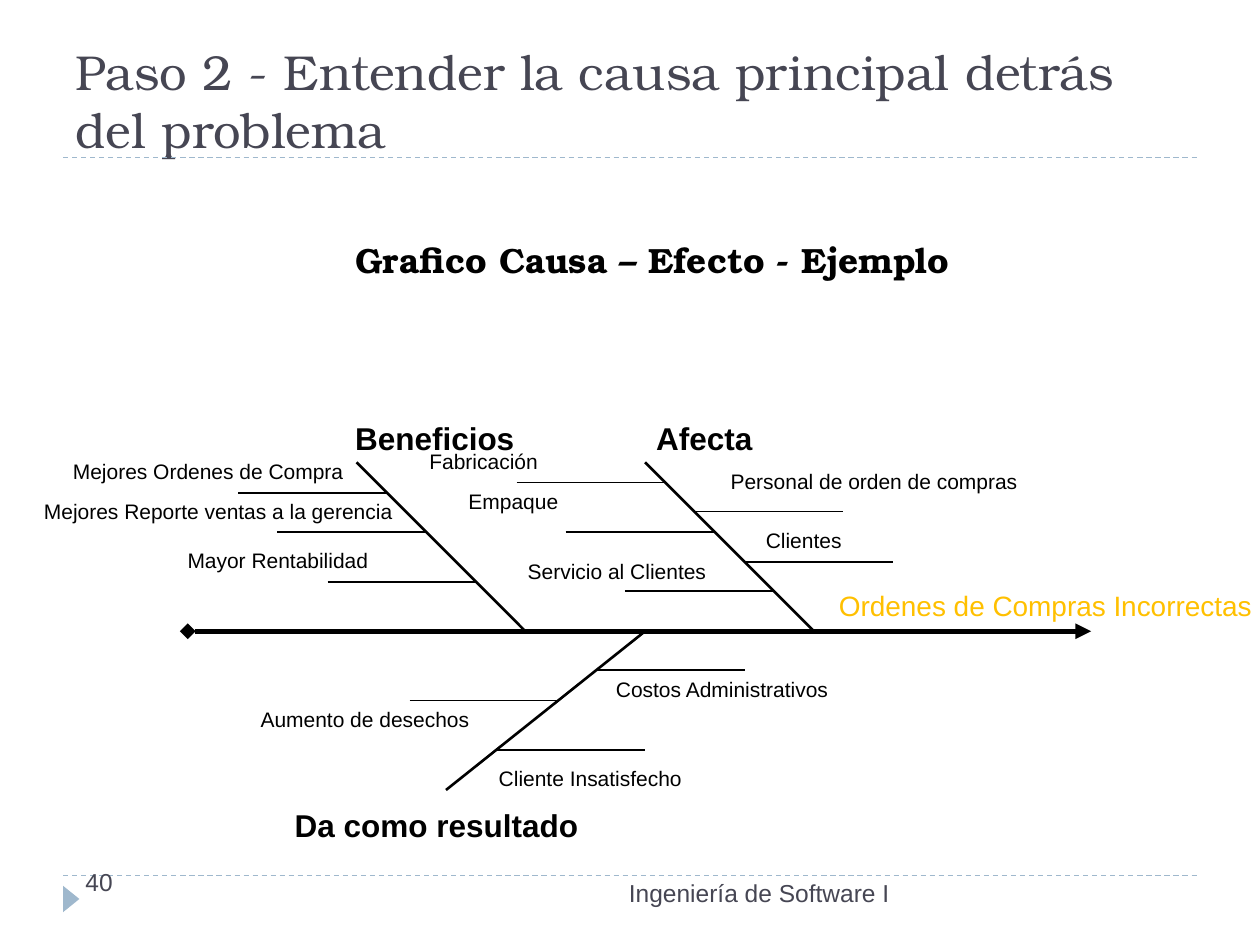
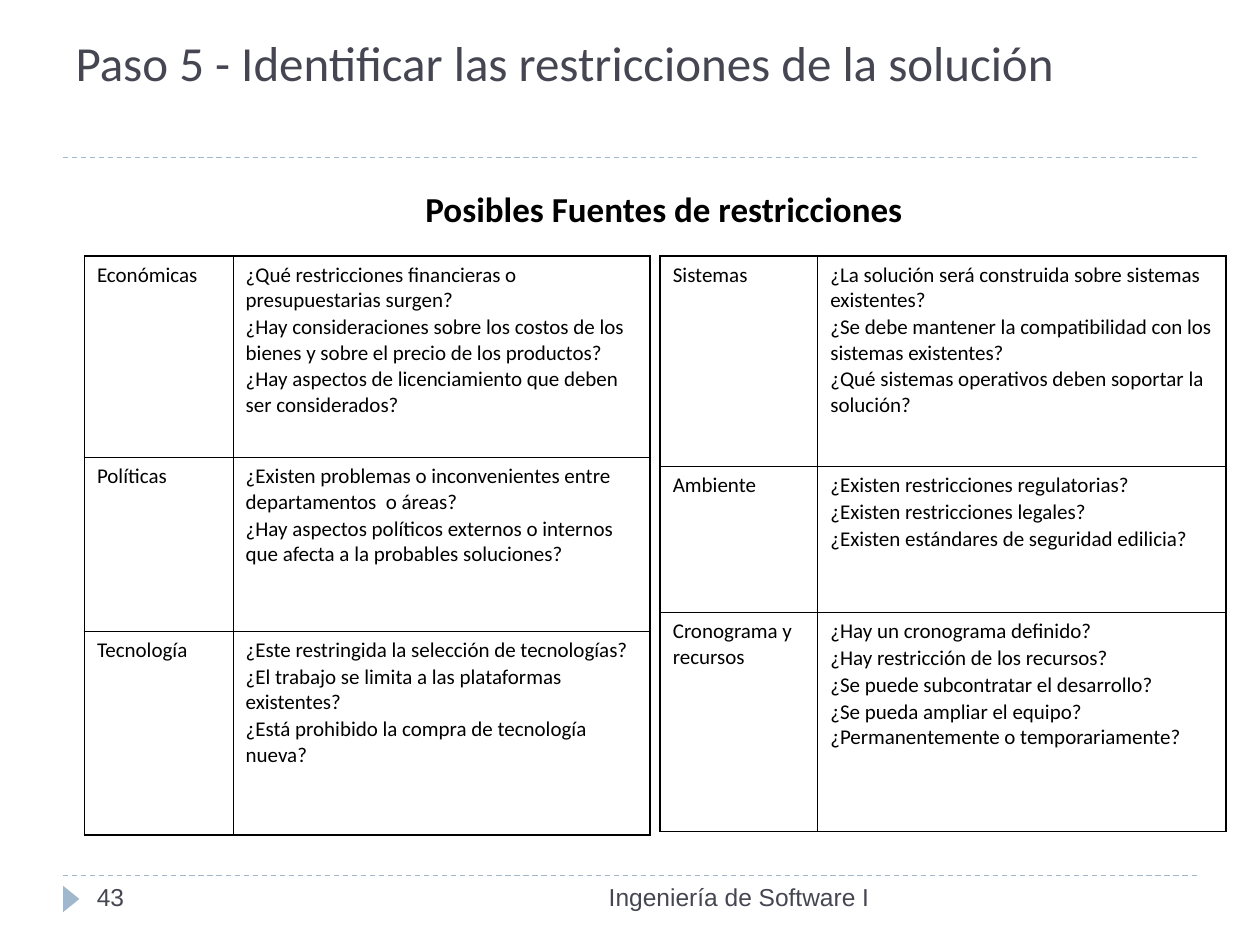
from dataclasses import dataclass

from lxml import etree
from pptx import Presentation
from pptx.dml.color import RGBColor
from pptx.enum.dml import MSO_LINE
from pptx.enum.shapes import MSO_CONNECTOR, MSO_SHAPE
from pptx.enum.text import MSO_ANCHOR, MSO_AUTO_SIZE, PP_ALIGN
from pptx.oxml.ns import qn
from pptx.presentation import Presentation as Deck
from pptx.shapes.connector import Connector
from pptx.slide import Slide
from pptx.table import _Cell
from pptx.text.text import _Paragraph
from pptx.util import Inches, Pt

STRAIGHT = MSO_CONNECTOR.STRAIGHT
TRIANGLE = MSO_SHAPE.ISOSCELES_TRIANGLE
DASH = MSO_LINE.DASH
TOP, BOTTOM = MSO_ANCHOR.TOP, MSO_ANCHOR.BOTTOM
GROW, FIXED = MSO_AUTO_SIZE.SHAPE_TO_FIT_TEXT, MSO_AUTO_SIZE.NONE
LEFT, CENTER, RIGHT = PP_ALIGN.LEFT, PP_ALIGN.CENTER, PP_ALIGN.RIGHT

SLATE = RGBColor(0x46, 0x46, 0x53)
PALE_BLUE = RGBColor(0x9F, 0xB8, 0xCD)
BLACK = RGBColor(0, 0, 0)
AMBER = RGBColor(0xFF, 0xC0, 0)

SANS, SERIF, BODY = "Arial", "TeX Gyre Bonum", "Calibri"
TITLE_ONLY = 5
SPINE_Y = 5.01
TWIG_LENGTH = 1.18
OUTER_BORDER, INNER_BORDER = 1.08, 0.45


@dataclass(frozen=True)
class Box:
    left: float
    top: float
    width: float
    height: float

    def lengths(self) -> tuple[Inches, Inches, Inches, Inches]:
        return (Inches(self.left), Inches(self.top),
                Inches(self.width), Inches(self.height))


@dataclass(frozen=True)
class TextStyle:
    font: str
    size: float
    color: RGBColor = BLACK
    bold: bool = False
    align: PP_ALIGN = LEFT


@dataclass(frozen=True)
class Cause:
    text: str
    box: Box
    y: float
    side: int
    wrap: bool = False


@dataclass(frozen=True)
class Bone:
    heading: str
    box: Box
    root_x: float
    tip: tuple[float, float]
    causes: tuple[Cause, ...]

    def x_at(self, y: float) -> float:
        tip_x, tip_y = self.tip
        return self.root_x + (tip_x - self.root_x) * (y - SPINE_Y) / (tip_y - SPINE_Y)


@dataclass(frozen=True)
class SourceRow:
    source: str
    height: float
    questions: tuple[str, ...]


@dataclass(frozen=True)
class SourceTable:
    left: float
    columns: tuple[float, float]
    rows: tuple[SourceRow, ...]


NUMBER_STYLE = TextStyle(SANS, 14, SLATE)
FOOTER_STYLE = TextStyle(SANS, 14, SLATE, align=RIGHT)
HEADING_STYLE = TextStyle(SANS, 18, bold=True)
CAUSE_STYLE = TextStyle(SANS, 12)
EFFECT_STYLE = TextStyle(SANS, 16, AMBER)
CELL_STYLE = TextStyle(BODY, 12)

TO_LEFT, TO_RIGHT = -1, 1

BONES = (
    Bone("Beneficios", Box(2.72, 3.28, 1.5, 0.4), 4.17, (2.83, 3.67), (
        Cause("Mejores Ordenes de Compra", Box(0.48, 3.59, 2.39, 0.3), 3.91, TO_LEFT),
        Cause("Mejores Reporte ventas a la gerencia", Box(0.25, 3.91, 3.01, 0.3),
              4.22, TO_LEFT),
        Cause("Mayor Rentabilidad", Box(1.39, 4.3, 1.67, 0.3), 4.62, TO_LEFT),
    )),
    Bone("Afecta", Box(5.11, 3.28, 1, 0.4), 6.46, (5.12, 3.67), (
        Cause("Fabricación", Box(3.31, 3.51, 1.97, 0.3), 3.83, TO_LEFT, True),
        Cause("Empaque", Box(3.62, 3.83, 1.97, 0.3), 4.22, TO_LEFT, True),
        Cause("Servicio al Clientes", Box(4.09, 4.38, 1.97, 0.3), 4.69, TO_LEFT, True),
        Cause("Personal de orden de compras", Box(5.7, 3.67, 2.52, 0.3), 4.06, TO_RIGHT),
        Cause("Clientes", Box(5.98, 4.14, 0.84, 0.3), 4.46, TO_RIGHT),
    )),
    Bone("Da como resultado", Box(2.24, 6.35, 2.49, 0.4), 5.12, (3.54, 6.27), (
        Cause("Costos Administrativos", Box(4.79, 5.32, 1.93, 0.3), 5.32, TO_RIGHT),
        Cause("Aumento de desechos", Box(1.97, 5.56, 1.9, 0.3), 5.56, TO_LEFT),
        Cause("Cliente Insatisfecho", Box(3.86, 6.03, 1.69, 0.3), 5.95, TO_RIGHT),
    )),
)

SOURCE_TABLES = (
    SourceTable(5.24, (1.25, 3.24), (
        SourceRow("Sistemas", 1.67, (
            "¿La solución será construida sobre sistemas existentes?",
            "¿Se debe mantener la compatibilidad con los sistemas existentes?",
            "¿Qué sistemas operativos deben soportar la solución?")),
        SourceRow("Ambiente", 1.16, (
            "¿Existen restricciones regulatorias?",
            "¿Existen restricciones legales?",
            "¿Existen estándares de seguridad edilicia?")),
        SourceRow("Cronograma y recursos", 1.74, (
            "¿Hay un cronograma definido?",
            "¿Hay restricción de los recursos?",
            "¿Se puede subcontratar el desarrollo?",
            "¿Se pueda ampliar el equipo? ¿Permanentemente o temporariamente?")),
    )),
    SourceTable(0.67, (1.18, 3.31), (
        SourceRow("Económicas", 1.6, (
            "¿Qué restricciones financieras o presupuestarias surgen?",
            "¿Hay consideraciones sobre los costos de los bienes y sobre el precio "
            "de los productos?",
            "¿Hay aspectos de licenciamiento que deben ser considerados?")),
        SourceRow("Políticas", 1.38, (
            "¿Existen problemas o inconvenientes entre departamentos  o áreas?",
            "¿Hay aspectos políticos externos o internos que afecta a la probables "
            "soluciones?")),
        SourceRow("Tecnología", 1.62, (
            "¿Este restringida la selección de tecnologías?",
            "¿El trabajo se limita a las plataformas existentes?",
            "¿Está prohibido la compra de tecnología nueva?")),
    )),
)


def style_paragraph(paragraph: _Paragraph, style: TextStyle) -> None:
    paragraph.alignment = style.align
    paragraph.font.name = style.font
    paragraph.font.size = Pt(style.size)
    paragraph.font.bold = style.bold
    paragraph.font.color.rgb = style.color


def add_text(slide: Slide, text: str, box: Box, style: TextStyle,
             wrap: bool = True, grow: bool = False) -> _Paragraph:
    frame = slide.shapes.add_textbox(*box.lengths()).text_frame
    frame.word_wrap = wrap
    if grow:
        frame.auto_size = GROW
    paragraph = frame.paragraphs[0]
    paragraph.text = text
    style_paragraph(paragraph, style)
    return paragraph


def add_line(slide: Slide, start: tuple[float, float], end: tuple[float, float],
             width: float, color: RGBColor = BLACK) -> Connector:
    line = slide.shapes.add_connector(
        STRAIGHT, *(Inches(value) for value in (*start, *end)))
    line.line.width = Pt(width)
    line.line.color.rgb = color
    etree.SubElement(line._element.spPr, qn("a:effectLst"))
    return line


def add_subtitle(slide: Slide, text: str, box: Box, font: str) -> None:
    paragraph = add_text(slide, text, box, TextStyle(font, 20, bold=True, align=CENTER))
    paragraph.line_spacing = 0.9


def add_base_slide(presentation: Deck, title: str, title_top: float, anchor: MSO_ANCHOR,
                   font: str, number: str, number_box: Box, footer_box: Box) -> Slide:
    slide = presentation.slides.add_slide(presentation.slide_layouts[TITLE_ONLY])
    for y in (6.95, 1.25):
        add_line(slide, (0.5, y), (9.5, y), 0.75, PALE_BLUE).line.dash_style = DASH

    marker = slide.shapes.add_shape(TRIANGLE, *Box(0.46, 7.07, 0.21, 0.13).lengths())
    marker.rotation = 90
    marker.shadow.inherit = False
    marker.fill.solid()
    marker.fill.fore_color.rgb = PALE_BLUE
    marker.line.fill.background()

    heading = slide.shapes.title
    heading.left, heading.top, heading.width, heading.height = Box(
        0.5, title_top, 9, 1.08).lengths()
    frame = heading.text_frame
    frame.text = title
    frame.word_wrap = True
    frame.auto_size = FIXED
    frame.vertical_anchor = anchor
    frame.margin_top = Inches(0.09)
    style_paragraph(frame.paragraphs[0], TextStyle(font, 28, SLATE))

    add_text(slide, number, number_box, NUMBER_STYLE)
    add_text(slide, "Ingeniería de Software I", footer_box, FOOTER_STYLE)
    return slide


def add_bone(slide: Slide, bone: Bone) -> None:
    add_line(slide, (bone.root_x, SPINE_Y), bone.tip, 1.5)
    add_text(slide, bone.heading, bone.box, HEADING_STYLE, wrap=False, grow=True)
    for cause in bone.causes:
        joint = bone.x_at(cause.y)
        ends = sorted((joint, joint + cause.side * TWIG_LENGTH))
        add_line(slide, (ends[0], cause.y), (ends[1], cause.y), 1)
        add_text(slide, cause.text, cause.box, CAUSE_STYLE, cause.wrap, grow=True)


def set_borders(cell: _Cell, widths: dict[str, float]) -> None:
    properties = cell._tc.get_or_add_tcPr()
    for position, (side, width) in enumerate(widths.items()):
        border = etree.Element(qn(f"a:ln{side}"), w=str(Pt(width)))
        fill = etree.SubElement(border, qn("a:solidFill"))
        etree.SubElement(fill, qn("a:srgbClr"), val=str(BLACK))
        properties.insert(position, border)


def fill_cell(cell: _Cell, lines: tuple[str, ...]) -> None:
    cell.fill.background()
    cell.text_frame.text = "\n".join(lines)
    for index, paragraph in enumerate(cell.text_frame.paragraphs):
        style_paragraph(paragraph, CELL_STYLE)
        if index:
            paragraph.space_before = Pt(0.7)


def add_source_table(slide: Slide, source_table: SourceTable) -> None:
    rows, columns = source_table.rows, source_table.columns
    box = Box(source_table.left, 2.03, sum(columns), sum(row.height for row in rows))
    table = slide.shapes.add_table(len(rows), len(columns), *box.lengths()).table
    table.first_row = False
    table.horz_banding = False
    for column, width in zip(table.columns, columns):
        column.width = Inches(width)
    for row_index, row in enumerate(rows):
        table.rows[row_index].height = Inches(row.height)
        for column_index, lines in enumerate(((row.source,), row.questions)):
            cell = table.cell(row_index, column_index)
            fill_cell(cell, lines)
            on_edge = {"L": column_index == 0, "R": column_index == len(columns) - 1,
                       "T": row_index == 0, "B": row_index == len(rows) - 1}
            set_borders(cell, {side: OUTER_BORDER if edge else INNER_BORDER
                               for side, edge in on_edge.items()})


def add_cause_slide(presentation: Deck) -> None:
    slide = add_base_slide(
        presentation, "Paso 2 - Entender la causa principal detrás del problema",
        0.23, BOTTOM, SERIF, "40", Box(0.58, 6.83, 2.17, 0.4),
        Box(3.33, 6.92, 3.83, 0.4))
    add_subtitle(slide, "Grafico Causa – Efecto - Ejemplo",
                 Box(1.48, 1.88, 7.4, 0.43), SERIF)
    spine = add_line(slide, (1.49, SPINE_Y), (8.66, SPINE_Y), 3)
    for end, arrow in (("headEnd", "diamond"), ("tailEnd", "triangle")):
        etree.SubElement(spine.line._get_or_add_ln(), qn(f"a:{end}"), type=arrow)
    for bone in BONES:
        add_bone(slide, bone)
    add_text(slide, "Ordenes de Compras Incorrectas", Box(6.56, 4.62, 3.51, 0.37),
             EFFECT_STYLE, wrap=False, grow=True)


def add_restriction_slide(presentation: Deck) -> None:
    slide = add_base_slide(
        presentation, "Paso 5 - Identificar las restricciones de la solución",
        0.17, TOP, BODY, "43", Box(0.67, 6.95, 2.17, 0.4),
        Box(3.17, 6.95, 3.83, 0.4))
    add_subtitle(slide, "Posibles Fuentes de restricciones",
                 Box(2.34, 1.48, 5.86, 0.39), BODY)
    for source_table in SOURCE_TABLES:
        add_source_table(slide, source_table)


def main() -> None:
    presentation = Presentation()
    presentation.slide_width = Inches(10)
    presentation.slide_height = Inches(7.5)
    add_cause_slide(presentation)
    add_restriction_slide(presentation)
    presentation.save("out.pptx")


if __name__ == "__main__":
    main()
